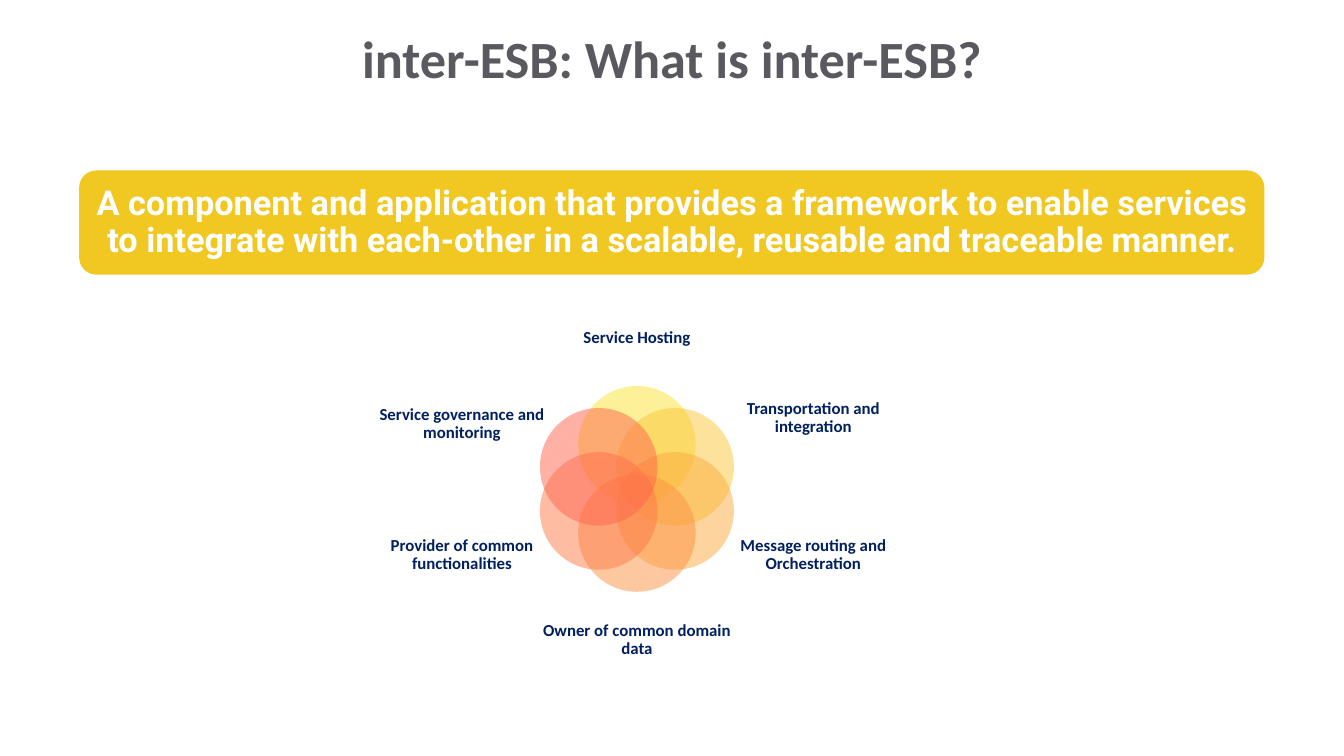
from math import cos, radians, sin

from lxml.etree import SubElement
from pptx import Presentation
from pptx.dml.color import RGBColor
from pptx.enum.shapes import MSO_SHAPE as Shape
from pptx.enum.text import MSO_ANCHOR as Anchor, PP_ALIGN as Align
from pptx.oxml.ns import qn
from pptx.util import Pt

PAGE_WIDTH, PAGE_HEIGHT = 1920.24, 1080
NAVY, GREY, YELLOW, WHITE = "002060", "59595F", "F1C721", "FFFFFF"
PETALS = [
    ("Service Hosting", "FAE232", (0, -216), (210, 114)),
    ("Transportation and integration", "FBC637", (252, -101), (263, 125)),
    ("Message routing and Orchestration", "FCAB3D", (252, 94), (264, 140)),
    ("Owner of common domain data", "FD9243", (0, 216), (309, 114)),
    ("Provider of common functionalities", "FE7A48", (-250, 94), (248, 140)),
    ("Service governance and monitoring", "FF644E", (-250, -93), (278, 140)),
]


def color(value):
    return RGBColor.from_string(value)


def points(*lengths):
    return [Pt(length) for length in lengths]


def centered(x, y, width, height):
    return points(x - width / 2, y - height / 2, width, height)


def write(shape, text, font, size, value, inset=0, spacing=0.9):
    frame = shape.text_frame
    frame.word_wrap = True
    frame.vertical_anchor = Anchor.MIDDLE
    frame.margin_left = frame.margin_right = Pt(inset)
    frame.margin_top = frame.margin_bottom = Pt(inset)
    frame.text = text
    para = frame.paragraphs[0]
    para.alignment = Align.CENTER
    para.line_spacing = spacing
    span = para.runs[0]
    span.font.name = font
    span.font.size = Pt(size)
    span.font.bold = True
    span.font.color.rgb = color(value)


def add_filled(shapes, kind, box, value, opacity=100):
    shape = shapes.add_shape(kind, *box)
    shape.shadow.inherit = False
    shape.fill.solid()
    shape.fill.fore_color.rgb = color(value)
    shape.line.fill.background()
    if opacity < 100:
        tint = shape.fill._xPr.find(qn("a:solidFill"))[0]
        SubElement(tint, qn("a:alpha"), val=str(opacity * 1000))
    return shape


def place_title(page, box):
    title = page.shapes.title
    title.left, title.top, title.width, title.height = box
    write(title, "inter-ESB: What is inter-ESB?", "Calibri", 74.7, GREY, spacing=1.0)


def add_banner(page, box):
    banner = add_filled(page.shapes, Shape.ROUNDED_RECTANGLE, box, YELLOW)
    write(
        banner,
        "A component and application that provides a framework to enable services "
        "to integrate with each-other in a scalable, reusable and traceable manner.",
        "Roboto", 49, WHITE, inset=14.4,
    )


def add_flower(page, center_x, center_y, radius=63, diameter=168):
    flower = page.shapes.add_group_shape().shapes
    for index, (text, value, (shift_x, shift_y), size) in enumerate(PETALS):
        angle = radians(60 * index - 90)
        x = center_x + radius * cos(angle)
        y = center_y + radius * sin(angle)
        add_filled(flower, Shape.OVAL, centered(x, y, diameter, diameter), value, 50)
        label = flower.add_textbox(*centered(center_x + shift_x, center_y + shift_y, *size))
        write(label, text, "Calibri", 24, NAVY)


def main():
    deck = Presentation()
    deck.slide_width, deck.slide_height = points(PAGE_WIDTH, PAGE_HEIGHT)
    page = deck.slides.add_slide(deck.slide_layouts[5])
    place_title(page, points(0, 33, PAGE_WIDTH, 98))
    add_banner(page, points(113, 243.4, 1693.5, 149))
    add_flower(page, 910, 698.4)
    deck.save("out.pptx")


if __name__ == "__main__":
    main()
